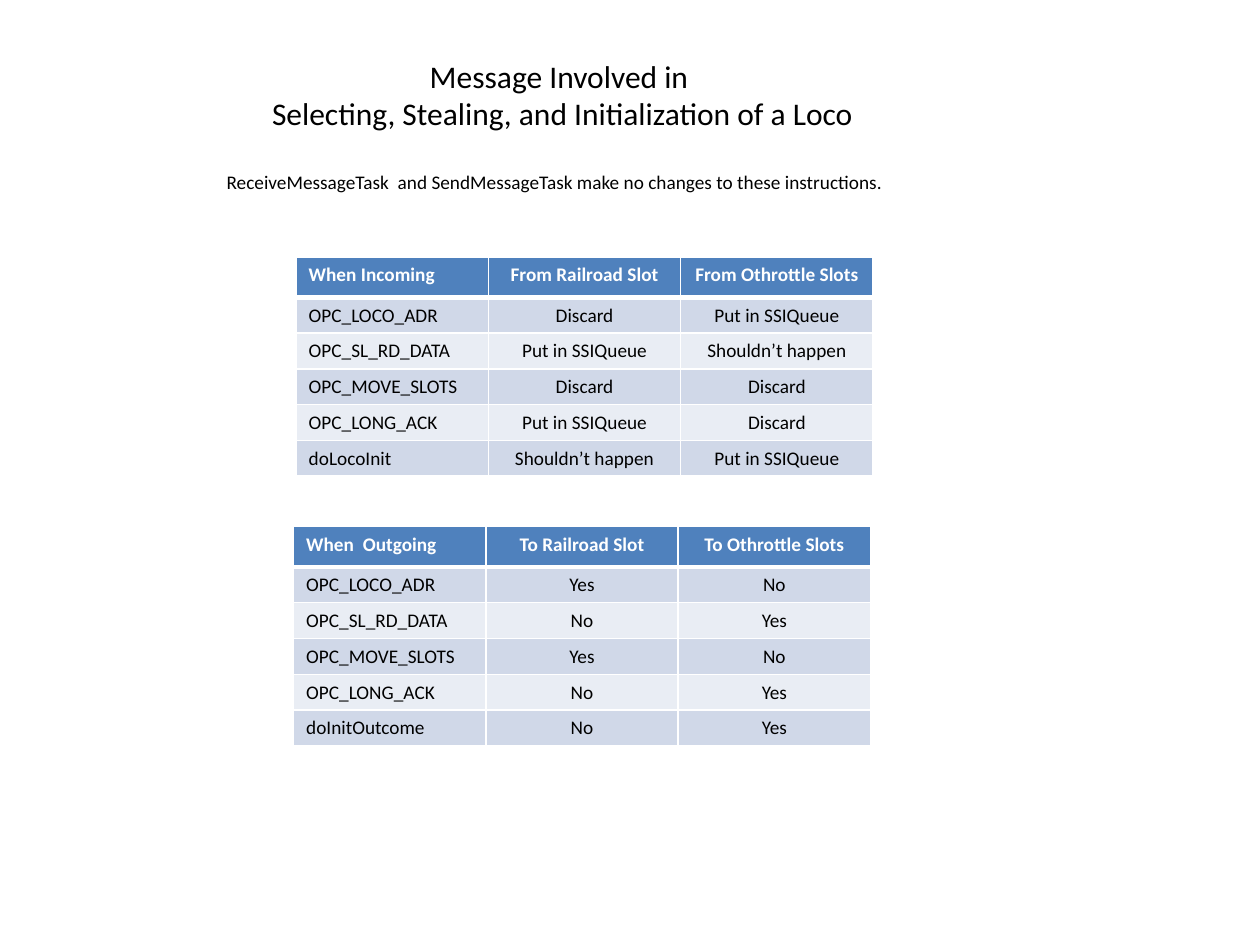
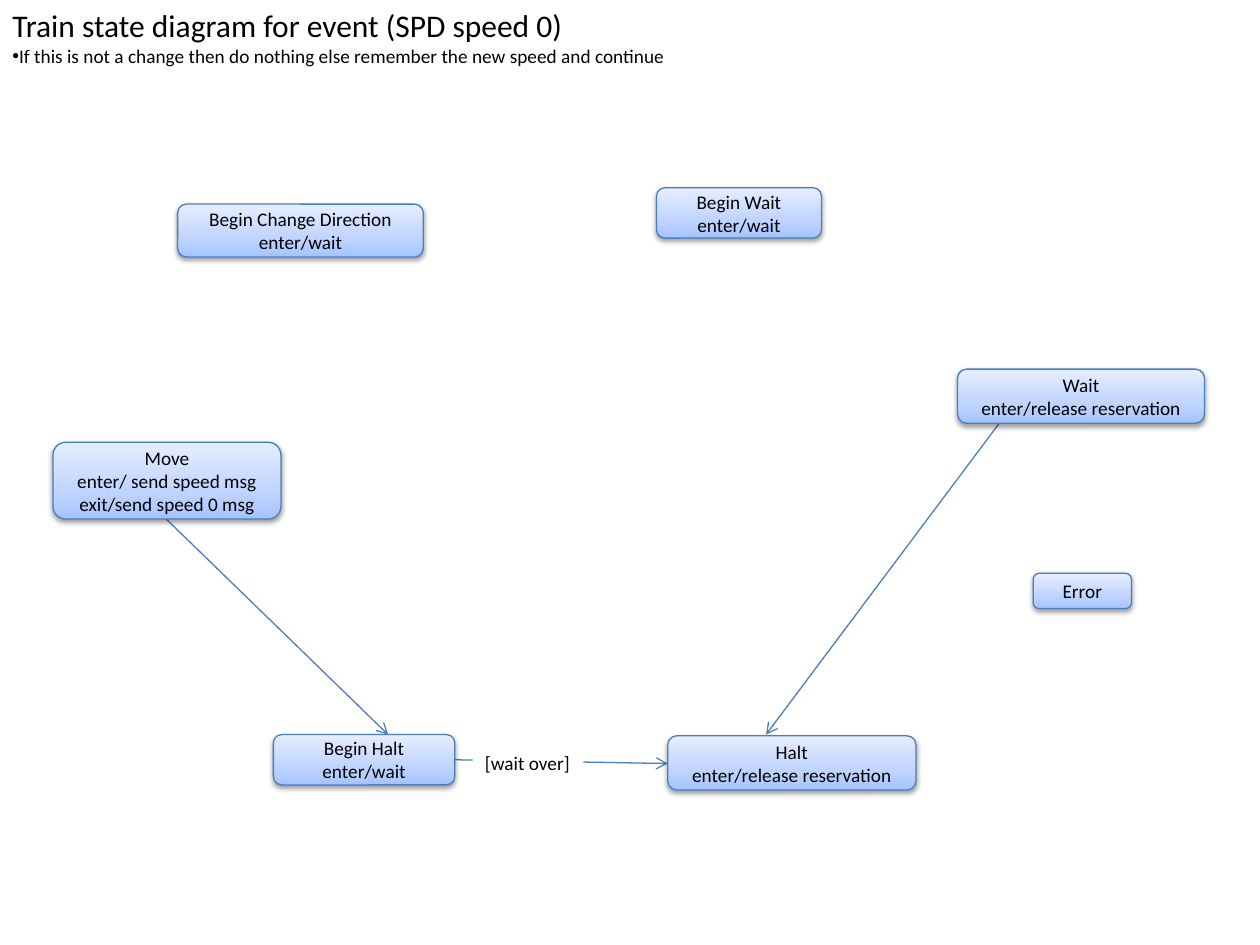
import copy
from dataclasses import dataclass

import lxml.etree
import pptx
import pptx.dml.color
import pptx.enum.shapes
import pptx.enum.text
import pptx.oxml.ns
import pptx.slide
import pptx.table
import pptx.text.text
import pptx.util

RGBColor = pptx.dml.color.RGBColor
BLACK = RGBColor(0x00, 0x00, 0x00)
WHITE = RGBColor(0xFF, 0xFF, 0xFF)
HEADER_BLUE = RGBColor(0x4F, 0x81, 0xBD)
DARK_BAND = RGBColor(0xD0, 0xD8, 0xE8)
LIGHT_BAND = RGBColor(0xE9, 0xED, 0xF4)
OUTLINE_BLUE = RGBColor(0x4B, 0x7E, 0xBC)
STATE_GRADIENT = (
    (0, RGBColor(0xA4, 0xC4, 0xFF)),
    (0.35, RGBColor(0xBF, 0xD4, 0xFF)),
    (1, RGBColor(0xE6, 0xEE, 0xFF)),
)

FONT = "Calibri"
TITLE_SIZE = 18
BODY_SIZE = 11
LINE_WIDTH = pptx.util.Pt(0.75)
SLIDE_WIDTH = pptx.util.Inches(10)
SLIDE_HEIGHT = pptx.util.Inches(7.5)
GRID_COLUMNS = 100
GRID_ROWS = 75
LEFT = pptx.enum.text.PP_ALIGN.LEFT
CENTER = pptx.enum.text.PP_ALIGN.CENTER


@dataclass(frozen=True)
class Area:
    column: float
    row: float
    columns: float
    rows: float

    def lengths(self) -> tuple[int, int, int, int]:
        return (across(self.column), down(self.row), across(self.columns), down(self.rows))


@dataclass(frozen=True)
class Line:
    text: str
    size: float = BODY_SIZE
    alignment: pptx.enum.text.PP_ALIGN = LEFT
    space_after: float = 0
    bullet: bool = False


@dataclass(frozen=True)
class MessageTable:
    area: Area
    rows: tuple[tuple[str, str, str], ...]


@dataclass(frozen=True)
class State:
    area: Area
    lines: tuple[str, ...]


@dataclass(frozen=True)
class Transition:
    start: tuple[float, float]
    end: tuple[float, float]


MESSAGE_HEADING = (
    Line("Message Involved in ", TITLE_SIZE, CENTER),
    Line("Selecting, Stealing, and Initialization of a Loco", TITLE_SIZE, CENTER, space_after=22),
    Line("ReceiveMessageTask  and SendMessageTask make no changes to these instructions."),
)
MESSAGE_TABLES = (
    MessageTable(Area(23.5, 20.4, 45.8, 17.3), (
        ("When Incoming", "From Railroad Slot", "From Othrottle Slots"),
        ("OPC_LOCO_ADR", "Discard", "Put in SSIQueue"),
        ("OPC_SL_RD_DATA", "Put in SSIQueue", "Shouldn’t happen"),
        ("OPC_MOVE_SLOTS", "Discard", "Discard"),
        ("OPC_LONG_ACK", "Put in SSIQueue", "Discard"),
        ("doLocoInit", "Shouldn’t happen", "Put in SSIQueue"),
    )),
    MessageTable(Area(23.3, 41.8, 45.8, 17.3), (
        ("When  Outgoing", "To Railroad Slot", "To Othrottle Slots"),
        ("OPC_LOCO_ADR", "Yes", "No"),
        ("OPC_SL_RD_DATA", "No", "Yes"),
        ("OPC_MOVE_SLOTS", "Yes", "No"),
        ("OPC_LONG_ACK", "No", "Yes"),
        ("doInitOutcome", "No", "Yes"),
    )),
)
HEADER_ROWS = 3.2

DIAGRAM_HEADING = (
    Line("Train state diagram for event (SPD speed 0)", TITLE_SIZE),
    Line("If this is not a change then do nothing else remember the new speed and continue", bullet=True),
)
STATES = (
    State(Area(4.2, 35.1, 18.1, 6.1), ("Move", "enter/ send speed msg", "exit/send speed 0 msg")),
    State(Area(82, 45.5, 7.8, 2.8), ("Error",)),
    State(Area(76, 29.3, 19.6, 4.3), ("Wait", "enter/release reservation")),
    State(Area(53, 58.4, 19.7, 4.3), ("Halt", "enter/release reservation")),
    State(Area(52.1, 14.9, 13.1, 4), ("Begin Wait", "enter/wait")),
    State(Area(14.1, 16.2, 19.5, 4.2), ("Begin Change Direction", "enter/wait")),
    State(Area(21.7, 58.3, 14.4, 4), ("Begin Halt", "enter/wait")),
)
TRANSITIONS = (
    Transition((13.2, 41.2), (30.8, 58.3)),
    Transition((80.8, 31.6), (60.8, 58.3)),
    Transition((36.1, 60.3), (53, 60.6)),
)


def across(columns: float) -> int:
    return round(SLIDE_WIDTH * columns / GRID_COLUMNS)


def down(rows: float) -> int:
    return round(SLIDE_HEIGHT * rows / GRID_ROWS)


def add_element(parent, tag: str, **attributes: str):
    return lxml.etree.SubElement(parent, pptx.oxml.ns.qn(tag), attributes)


def write_lines(frame: pptx.text.text.TextFrame, lines: tuple[Line, ...],
                color: RGBColor = BLACK, bold: bool = False) -> None:
    for index, line in enumerate(lines):
        paragraph = frame.add_paragraph() if index else frame.paragraphs[0]
        paragraph.alignment = line.alignment
        if line.space_after:
            paragraph.space_after = pptx.util.Pt(line.space_after)
        if line.bullet:
            properties = paragraph._p.get_or_add_pPr()
            add_element(properties, "a:buFont", typeface="Arial")
            add_element(properties, "a:buChar", char="•")
        run = paragraph.add_run()
        run.text = line.text
        run.font.name = FONT
        run.font.size = pptx.util.Pt(line.size)
        run.font.bold = bold
        run.font.color.rgb = color


def add_text(slide: pptx.slide.Slide, area: Area, lines: tuple[Line, ...],
             background: RGBColor | None = None) -> None:
    shape = slide.shapes.add_textbox(*area.lengths())
    shape.text_frame.word_wrap = False
    shape.text_frame.auto_size = pptx.enum.text.MSO_AUTO_SIZE.SHAPE_TO_FIT_TEXT
    if background is not None:
        shape.fill.solid()
        shape.fill.fore_color.rgb = background
    write_lines(shape.text_frame, lines)


def add_borders(cell: pptx.table._Cell, top: float, bottom: float) -> None:
    properties = cell._tc.get_or_add_tcPr()
    for side, points in (("L", 1), ("R", 1), ("T", top), ("B", bottom)):
        border = add_element(properties, f"a:ln{side}", w=str(pptx.util.Pt(points)))
        fill = add_element(border, "a:solidFill")
        add_element(fill, "a:srgbClr", val=str(WHITE))


def add_message_table(slide: pptx.slide.Slide, message_table: MessageTable) -> None:
    rows = message_table.rows
    area = message_table.area
    table = slide.shapes.add_table(len(rows), len(rows[0]), *area.lengths()).table
    body_rows = (area.rows - HEADER_ROWS) / (len(rows) - 1)
    for row_index, texts in enumerate(rows):
        is_header = row_index == 0
        table.rows[row_index].height = down(HEADER_ROWS if is_header else body_rows)
        band = HEADER_BLUE if is_header else (LIGHT_BAND, DARK_BAND)[row_index % 2]
        for column_index, text in enumerate(texts):
            cell = table.cell(row_index, column_index)
            add_borders(cell, 3 if row_index == 1 else 1, 3 if is_header else 1)
            cell.fill.solid()
            cell.fill.fore_color.rgb = band
            line = Line(text, alignment=CENTER if column_index else LEFT)
            write_lines(cell.text_frame, (line,), WHITE if is_header else BLACK, is_header)


def add_state(slide: pptx.slide.Slide, state: State) -> None:
    shape = slide.shapes.add_shape(
        pptx.enum.shapes.MSO_SHAPE.ROUNDED_RECTANGLE, *state.area.lengths())
    shape.fill.gradient()
    shape.fill.gradient_angle = 90
    properties = shape._element.spPr
    stops = properties.find(".//" + pptx.oxml.ns.qn("a:gsLst"))
    stops.append(copy.deepcopy(stops[0]))
    for stop, (position, color) in zip(shape.fill.gradient_stops, STATE_GRADIENT):
        stop.position = position
        stop.color.rgb = color
    shape.line.color.rgb = OUTLINE_BLUE
    shape.line.width = LINE_WIDTH
    shape.shadow.inherit = False
    effects = properties.find(pptx.oxml.ns.qn("a:effectLst"))
    shadow = add_element(effects, "a:outerShdw", blurRad=str(pptx.util.Pt(3.1)),
                         dist=str(pptx.util.Pt(1.6)), dir="5400000", rotWithShape="0")
    shadow_color = add_element(shadow, "a:srgbClr", val=str(BLACK))
    add_element(shadow_color, "a:alpha", val="38000")
    shape.text_frame.word_wrap = True
    shape.text_frame.vertical_anchor = pptx.enum.text.MSO_ANCHOR.MIDDLE
    write_lines(shape.text_frame, tuple(Line(text, alignment=CENTER) for text in state.lines))


def add_transition(slide: pptx.slide.Slide, transition: Transition) -> None:
    (start_column, start_row), (end_column, end_row) = transition.start, transition.end
    connector = slide.shapes.add_connector(
        pptx.enum.shapes.MSO_CONNECTOR.STRAIGHT,
        across(start_column), down(start_row), across(end_column), down(end_row))
    connector.line.color.rgb = OUTLINE_BLUE
    connector.line.width = LINE_WIDTH
    add_element(connector.line._get_or_add_ln(), "a:tailEnd", type="arrow")
    add_element(connector._element.spPr, "a:effectLst")


def build_message_slide(slide: pptx.slide.Slide) -> None:
    add_text(slide, Area(17, 4, 55.3, 11.9), MESSAGE_HEADING)
    for message_table in MESSAGE_TABLES:
        add_message_table(slide, message_table)


def build_diagram_slide(slide: pptx.slide.Slide) -> None:
    add_text(slide, Area(0, 0, 54.1, 5.9), DIAGRAM_HEADING)
    for transition in TRANSITIONS:
        add_transition(slide, transition)
    for state in STATES:
        add_state(slide, state)
    add_text(slide, Area(37.5, 59.1, 8.8, 2.9), (Line("[wait over]"),), WHITE)


def main() -> None:
    presentation = pptx.Presentation()
    presentation.slide_width = SLIDE_WIDTH
    presentation.slide_height = SLIDE_HEIGHT
    blank_layout = presentation.slide_layouts[6]
    for build_slide in (build_message_slide, build_diagram_slide):
        build_slide(presentation.slides.add_slide(blank_layout))
    presentation.save("out.pptx")


if __name__ == "__main__":
    main()
